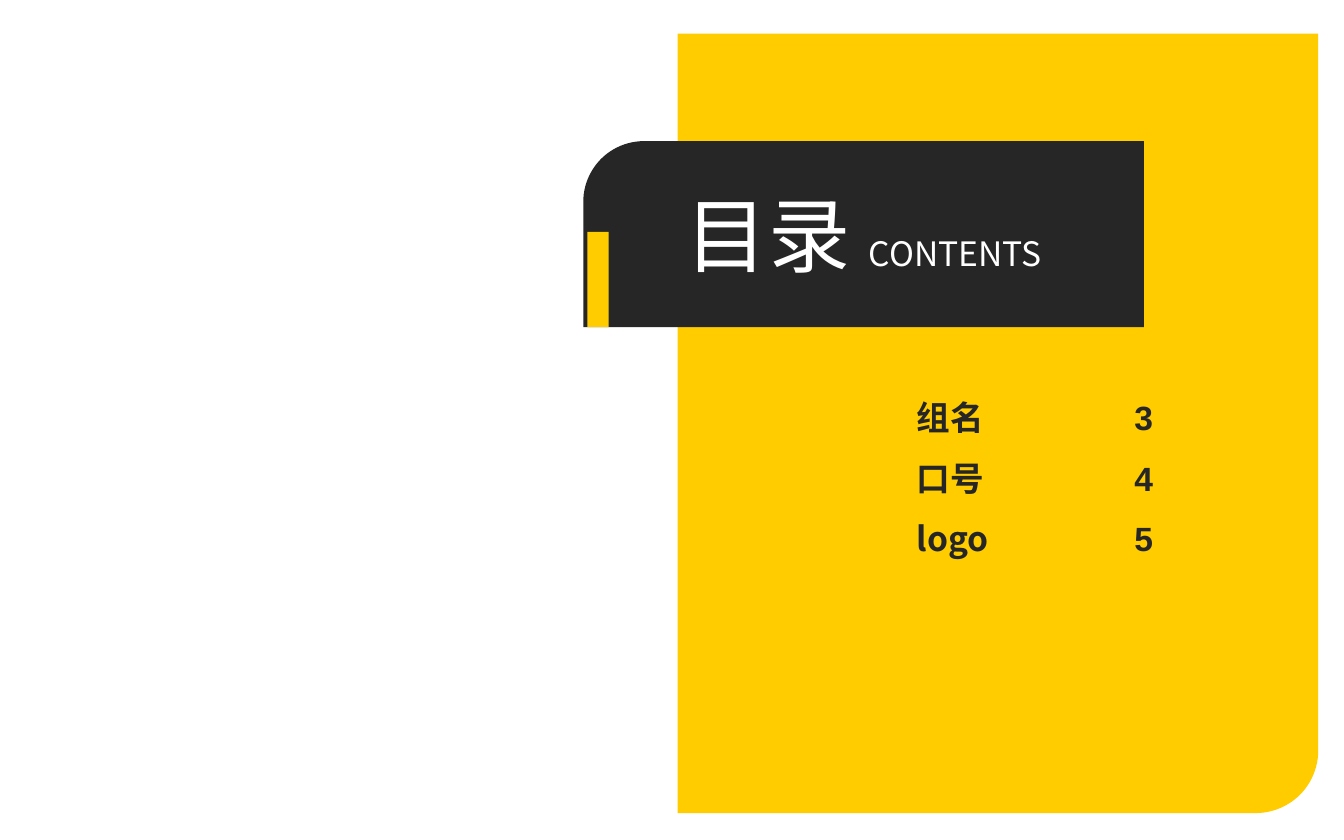
from dataclasses import dataclass

from lxml import etree
from pptx import Presentation
from pptx.dml.color import RGBColor
from pptx.enum.shapes import MSO_SHAPE
from pptx.enum.text import MSO_ANCHOR, MSO_AUTO_SIZE, PP_ALIGN
from pptx.oxml.ns import qn
from pptx.util import Pt

RECT = MSO_SHAPE.RECTANGLE
ROUND_ONE = MSO_SHAPE.ROUND_1_RECTANGLE
TOP, MIDDLE = MSO_ANCHOR.TOP, MSO_ANCHOR.MIDDLE
LEFT, CENTER = PP_ALIGN.LEFT, PP_ALIGN.CENTER
NO_AUTOFIT = MSO_AUTO_SIZE.NONE


@dataclass(frozen=True)
class Theme:
    """Colours, fonts and type sizes of the slide."""
    yellow: RGBColor = RGBColor(0xFF, 0xCC, 0x00)
    dark: RGBColor = RGBColor(0x26, 0x26, 0x26)
    white: RGBColor = RGBColor(0xFF, 0xFF, 0xFF)
    cjk: str = "Noto Sans CJK SC"
    latin: str = "Arial"
    title: float = 44
    text: float = 18
    line: float = 32.4


THEME = Theme()


def add_run(p, text, *, size, color, font, bold=False):
    """Add a formatted run to a paragraph."""
    r = p.add_run()
    r.text = text
    r.font.size, r.font.bold, r.font.name = Pt(size), bold, font
    r.font.color.rgb = color
    etree.SubElement(r.font._element, qn("a:ea")).set("typeface", font)


def add_block(slide, box, color, *, kind=RECT, turn=0, radius=0):
    """Fill a box with colour, optionally turning its one round corner."""
    x, y, w, h = box
    sw, sh = (h, w) if turn % 180 else (w, h)
    sp = slide.shapes.add_shape(
        kind, Pt(x + (w - sw) / 2), Pt(y + (h - sh) / 2), Pt(sw), Pt(sh))
    sp.rotation = turn
    if radius:
        sp.adjustments[0] = radius / min(w, h)
    sp.shadow.inherit = False
    sp.fill.solid()
    sp.fill.fore_color.rgb = color
    sp.line.fill.background()


def place_holder(slide, sp, box, anchor):
    """Move a placeholder to a box in front and return its text frame."""
    sp.left, sp.top, sp.width, sp.height = map(Pt, box)
    slide.shapes._spTree.append(sp._element)
    tf = sp.text_frame
    tf.word_wrap, tf.auto_size, tf.vertical_anchor = True, NO_AUTOFIT, anchor
    return tf


def add_heading(slide, box):
    """Draw the dark band with its accent bar and title."""
    x, y, w, h = box
    add_block(slide, box, THEME.dark, kind=ROUND_ONE, turn=270, radius=32.5)
    add_block(slide, (x + 2.2, y + h - 51, 11.3, 51), THEME.yellow)
    p = place_holder(slide, slide.shapes.title, box, MIDDLE).paragraphs[0]
    p.alignment = CENTER
    for text, size in (("目录 ", THEME.title), ("CONTENTS", THEME.text)):
        add_run(p, text, size=size, color=THEME.white, font=THEME.cjk)


def add_column(slide, sp, box, items, font):
    """Write one column of the contents list."""
    tf = place_holder(slide, sp, box, TOP)
    for i, item in enumerate(items):
        p = tf.add_paragraph() if i else tf.paragraphs[0]
        p.alignment, p.line_spacing = LEFT, Pt(THEME.line)
        p.space_before = p.space_after = Pt(0)
        pPr = p._p.get_or_add_pPr()
        pPr.set("marL", "0")
        pPr.set("indent", "0")
        etree.SubElement(pPr, qn("a:buNone"))
        add_run(p, item, size=THEME.text, color=THEME.dark, font=font, bold=True)


def add_contents(slide, box, entries):
    """Place the names and page numbers side by side in a box."""
    x, y, w, h = box
    names, pages = zip(*entries)
    left, right = slide.placeholders[1], slide.placeholders[2]
    add_column(slide, left, (x, y, w - 40, h), names, THEME.cjk)
    add_column(slide, right, (x + w - 40, y, 40, h), pages, THEME.latin)


def main():
    """Build the contents slide."""
    prs = Presentation()
    prs.slide_width, prs.slide_height = Pt(720), Pt(450)
    slide = prs.slides.add_slide(prs.slide_layouts[3])
    add_block(slide, (363, 18, 343.2, 417.6), THEME.yellow,
              kind=ROUND_ONE, turn=90, radius=33.5)
    add_heading(slide, (312.5, 75.6, 300.3, 99.6))
    add_contents(slide, (484, 198.4, 156.5, 138),
                 (("组名", "3"), ("口号", "4"), ("logo", "5")))
    prs.save("out.pptx")


if __name__ == "__main__":
    main()
